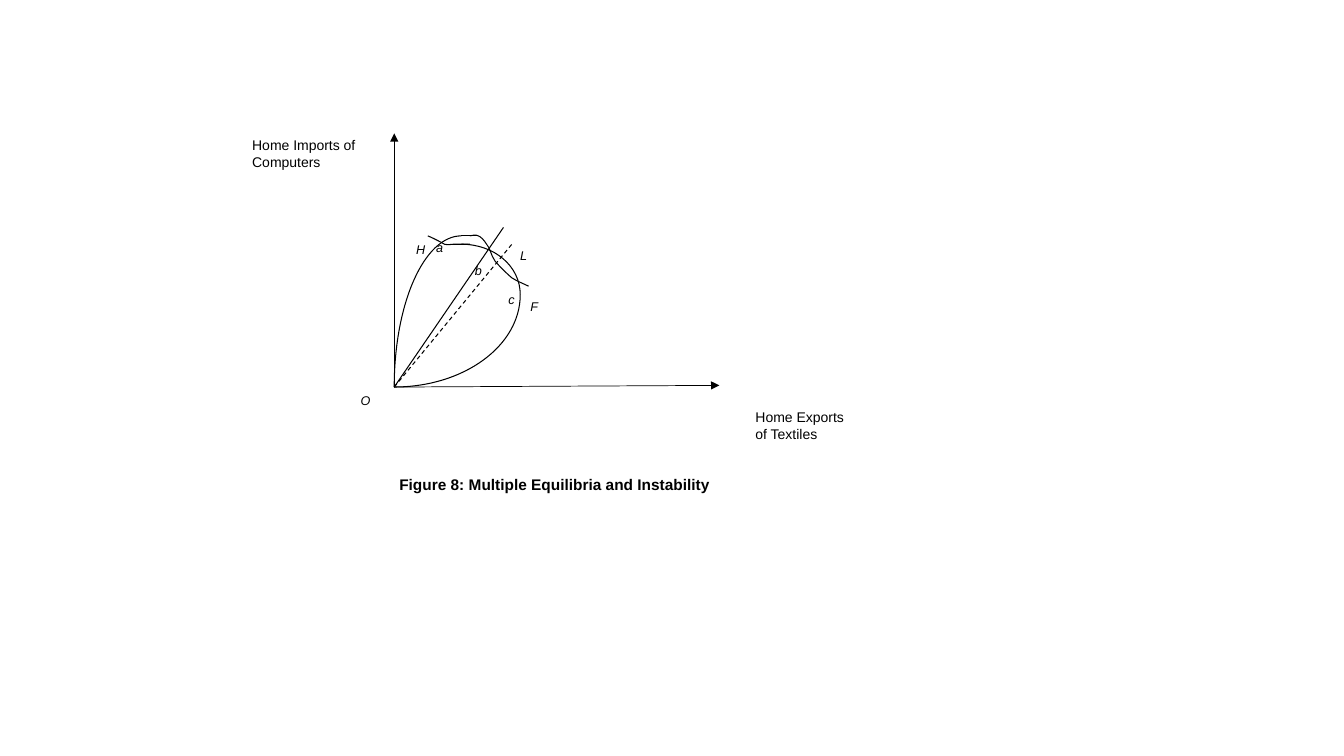
"""Build a slide with an offer-curve diagram of multiple equilibria."""
from lxml.etree import SubElement
from pptx import Presentation
from pptx.dml.color import RGBColor
from pptx.enum.dml import MSO_LINE
from pptx.enum.shapes import MSO_CONNECTOR
from pptx.enum.text import MSO_ANCHOR, MSO_AUTO_SIZE, PP_ALIGN
from pptx.oxml.ns import qn
from pptx.util import Inches, Pt

BLACK = "000000"
UNIT = 1 / 12
ORIGIN_LEFT, ORIGIN_TOP = 3.91, 3.84

CAPTION = ("Figure 8: Multiple Equilibria and Instability", (0, -10.25), (39.2, 2.6))
AXIS_TITLES = [
    ("Home Imports of Computers", (-17.5, 30.1), (19.4, 4.6)),
    ("Home Exports\nof Textiles", (42.4, -2.35), (13.4, 4.3)),
]
LETTERS = {
    "O": (-4.6, -0.5),
    "H": (2, 17.55),
    "a": (4.4, 17.75),
    "b": (9, 15.05),
    "c": (13, 11.55),
    "L": (14.4, 16.75),
    "F": (15.6, 10.75),
}
LETTER_SIZE = (2.4, 2.4)

LINES = [
    {"start": (0, 0), "end": (0, 30.2), "arrow": True},
    {"start": (0, 0), "end": (38.7, 0.2), "arrow": True, "width": 0.5},
    {"start": (0, 0), "end": (13, 19)},
    {"start": (0, 0), "end": (14, 17), "dashed": True},
    {"start": (8, 18), "end": (10, 18)},
]
CURVES = [
    [(0, 0), (8.3, 0), (15, 4.9), (15, 11)],
    [(8, 17), (11.9, 17), (15, 14.4), (15, 11)],
    [(9, 17), (8.6, 17), (8.4, 17), (8, 17), (7.7, 17), (7.3, 17), (7, 17),
     (6.7, 17), (6.5, 16.9), (6, 17), (5.5, 17.3), (4.3, 17.9), (4, 18)],
    [(8, 18), (3.6, 18), (0, 10), (0, 0)],
    [(16, 12), (15.4, 12.3), (14.6, 12.6), (14, 13), (13.3, 13.6),
     (12.5, 14.4), (12, 15), (11.5, 15.7), (11.4, 16.6), (11, 17),
     (10.7, 17.5), (10.3, 17.9), (10, 18), (9.7, 18.2), (9.2, 18), (9, 18)],
]


def color(value):
    """Turn a hex string into a colour."""
    return RGBColor.from_string(value)


def place(point):
    """Turn grid steps from the origin into slide lengths."""
    across, up = point
    return Inches(ORIGIN_LEFT + across * UNIT), Inches(ORIGIN_TOP - up * UNIT)


def write(shape, text, size=9, bold=False, italic=False):
    """Fill a shape with left-aligned, top-anchored text."""
    frame = shape.text_frame
    frame.word_wrap = True
    frame.auto_size = MSO_AUTO_SIZE.NONE
    frame.vertical_anchor = MSO_ANCHOR.TOP
    frame.margin_left = frame.margin_right = Inches(0.05)
    frame.margin_top = frame.margin_bottom = Inches(0.02)
    frame.text = text
    for paragraph in frame.paragraphs:
        paragraph.alignment = PP_ALIGN.LEFT
        paragraph.line_spacing = 1.0
        font = paragraph.font
        font.name, font.size = "Arial", Pt(size)
        font.bold, font.italic = bold, italic
        font.color.rgb = color(BLACK)


def add_label(slide, text, corner, extent, **text_format):
    """Add a text box whose top-left corner sits on the grid."""
    width, height = (Inches(steps * UNIT) for steps in extent)
    box = slide.shapes.add_textbox(*place(corner), width, height)
    write(box, text, **text_format)


def add_line(slide, start, end, width=0.75, arrow=False, dashed=False):
    """Add a straight line between two grid points."""
    connector = slide.shapes.add_connector(
        MSO_CONNECTOR.STRAIGHT, *place(start), *place(end))
    connector.line.color.rgb = color(BLACK)
    connector.line.width = Pt(width)
    if dashed:
        connector.line.dash_style = MSO_LINE.DASH
    if arrow:
        line = connector._element.spPr.find(qn("a:ln"))
        SubElement(line, qn("a:tailEnd"), type="triangle")
    SubElement(connector._element.spPr, qn("a:effectLst"))


def add_curve(slide, controls):
    """Add an open outline whose control points form joined cubic curves."""
    builder = slide.shapes.build_freeform(*place(controls[0]))
    builder.add_line_segments([place(point) for point in controls[1:]], close=False)
    curve = builder.convert_to_shape()
    outline = next(curve._element.iter(qn("a:path")))
    segments = outline.findall(qn("a:lnTo"))
    for first in range(0, len(segments), 3):
        cubic = SubElement(outline, qn("a:cubicBezTo"))
        for segment in segments[first:first + 3]:
            cubic.append(segment[0])
            outline.remove(segment)
    curve.shadow.inherit = False
    curve.fill.background()
    curve.line.color.rgb = color(BLACK)
    curve.line.width = Pt(0.75)


def main():
    """Lay out the diagram and save the presentation."""
    presentation = Presentation()
    presentation.slide_width, presentation.slide_height = Inches(13.33), Inches(7.5)
    slide = presentation.slides.add_slide(presentation.slide_layouts[5])

    text, corner, extent = CAPTION
    title = slide.shapes.title
    title.left, title.top = place(corner)
    title.width, title.height = (Inches(steps * UNIT) for steps in extent)
    write(title, text, size=11, bold=True)

    for controls in CURVES:
        add_curve(slide, controls)
    for line in LINES:
        add_line(slide, **line)
    for text, corner, extent in AXIS_TITLES:
        add_label(slide, text, corner, extent, size=10)
    for letter, corner in LETTERS.items():
        add_label(slide, letter, corner, LETTER_SIZE, italic=True)

    presentation.save("out.pptx")


if __name__ == "__main__":
    main()
